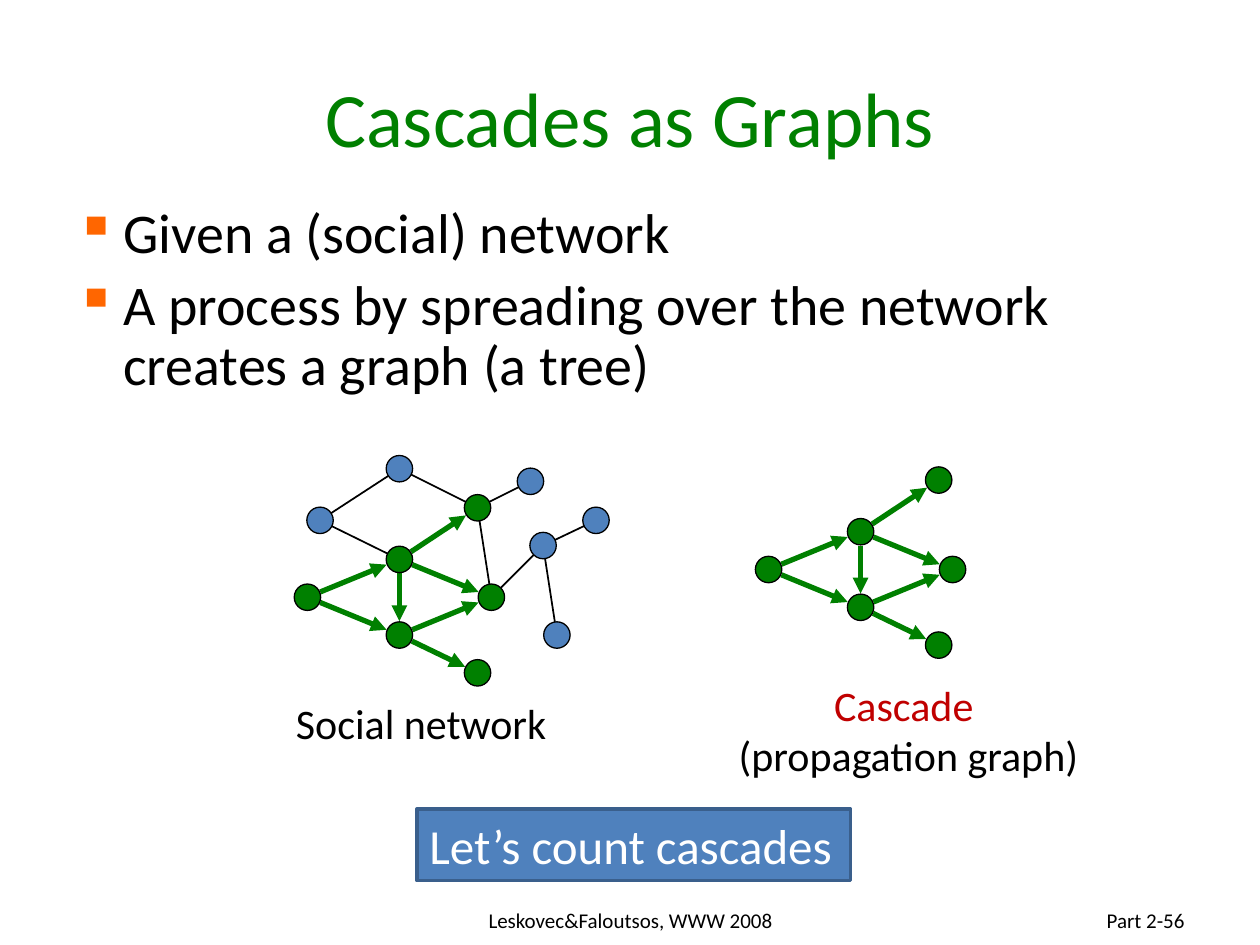
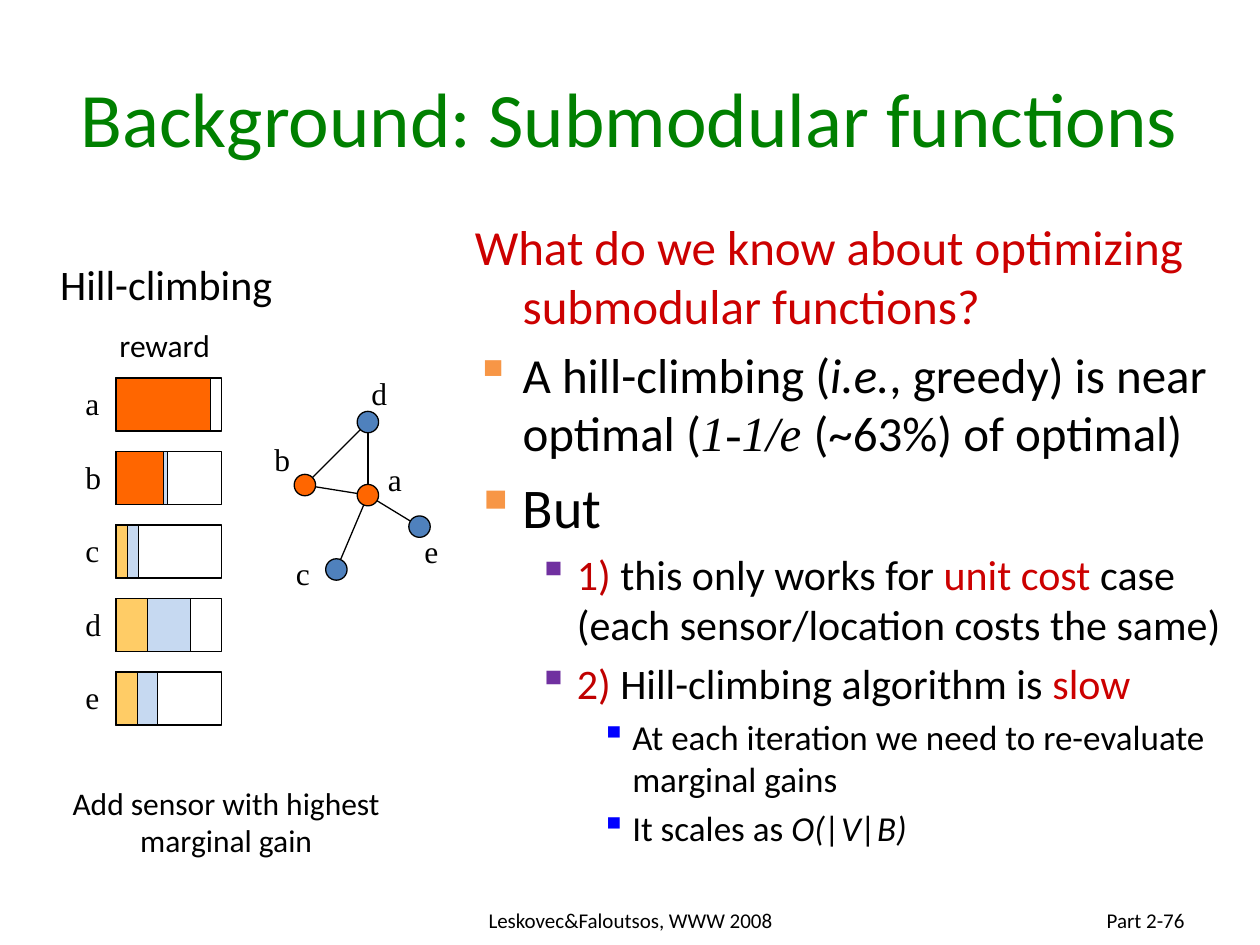
from dataclasses import dataclass
from math import hypot

from lxml.etree import SubElement
from pptx import Presentation
from pptx.dml.color import RGBColor
from pptx.enum.shapes import MSO_CONNECTOR as Connector
from pptx.enum.shapes import MSO_SHAPE as Preset
from pptx.enum.text import MSO_ANCHOR as Anchor
from pptx.enum.text import PP_ALIGN as Align
from pptx.oxml.ns import qn
from pptx.util import Inches, Pt

BLACK = RGBColor(0x00, 0x00, 0x00)
WHITE = RGBColor(0xFF, 0xFF, 0xFF)
GREEN = RGBColor(0x00, 0x80, 0x00)
BLUE = RGBColor(0x4F, 0x81, 0xBD)
DARK_BLUE = RGBColor(0x3A, 0x5F, 0x8C)
PALE_BLUE = RGBColor(0xC6, 0xD9, 0xF1)
PURE_BLUE = RGBColor(0x00, 0x00, 0xFF)
PURPLE = RGBColor(0x70, 0x30, 0xA0)
ORANGE = RGBColor(0xFF, 0x66, 0x00)
SOFT_ORANGE = RGBColor(0xF7, 0x96, 0x46)
YELLOW = RGBColor(0xFF, 0xCC, 0x66)
RED = RGBColor(0xCC, 0x00, 0x00)
DARK_RED = RGBColor(0xC0, 0x00, 0x00)

SANS = "Calibri"
SERIF = "Times New Roman"


@dataclass
class Run:
    text: str
    color: RGBColor = BLACK
    font: str = SANS
    italic: bool = False


@dataclass
class Item:
    """A body paragraph; its level sets the indent."""
    runs: list
    size: int
    bullet: RGBColor = None
    level: int = 0


class Deck:
    # Left margin and hanging indent for each body level
    INDENTS = [(0.38, 0.38), (0.81, 0.31), (1.25, 0.25)]

    def __init__(self):
        self.presentation = Presentation()
        self.presentation.slide_width = Inches(10)
        self.presentation.slide_height = Inches(7.5)
        self.slide = None

    def add_slide(self, title, page, title_left=0.5, title_width=9):
        layout = self.presentation.slide_layouts[6]
        self.slide = self.presentation.slides.add_slide(layout)
        self.text((title_left, 0.3, title_width, 1.25), [Run(title, GREEN)], 44,
                  Align.CENTER, Anchor.MIDDLE, wrap=True)
        self.text((3.42, 7.1, 3.17, 0.4), [Run("Leskovec&Faloutsos, WWW 2008")], 12,
                  Align.CENTER, Anchor.MIDDLE, wrap=True)
        self.text((7.17, 7.1, 2.33, 0.4), [Run(f"Part {page}")], 12,
                  Align.RIGHT, Anchor.MIDDLE, wrap=True)

    def add_runs(self, paragraph, runs, size):
        for item in runs:
            run = paragraph.add_run()
            run.text = item.text
            run.font.size = Pt(size)
            run.font.name = item.font
            run.font.italic = item.italic
            run.font.color.rgb = item.color

    def text(self, box, runs, size, align=Align.LEFT, anchor=Anchor.TOP, wrap=False):
        frame = self.slide.shapes.add_textbox(*map(Inches, box)).text_frame
        frame.word_wrap = wrap
        frame.vertical_anchor = anchor
        paragraph = frame.paragraphs[0]
        paragraph.alignment = align
        self.add_runs(paragraph, runs, size)
        return frame

    def body(self, box, items, line_spacing=1.0):
        frame = self.slide.shapes.add_textbox(*map(Inches, box)).text_frame
        frame.word_wrap = True
        for index, item in enumerate(items):
            paragraph = frame.add_paragraph() if index else frame.paragraphs[0]
            margin, hanging = self.INDENTS[item.level]
            properties = paragraph._p.get_or_add_pPr()
            properties.set("marL", str(Inches(margin)))
            properties.set("indent", str(-Inches(hanging)))
            if item.bullet is not None:
                color = SubElement(properties, qn("a:buClr"))
                SubElement(color, qn("a:srgbClr"), val=str(item.bullet))
                SubElement(properties, qn("a:buChar"), char="▪")
            paragraph.level = item.level
            paragraph.line_spacing = line_spacing
            if index:
                paragraph.space_before = Pt(0.2 * item.size)
            self.add_runs(paragraph, item.runs, item.size)

    def shape(self, preset, box, fill=None, line=BLACK, width=0.75):
        shape = self.slide.shapes.add_shape(preset, *map(Inches, box))
        shape.shadow.inherit = False
        if fill is None:
            shape.fill.background()
        else:
            shape.fill.solid()
            shape.fill.fore_color.rgb = fill
        shape.line.color.rgb = line
        shape.line.width = Pt(width)
        return shape

    def node(self, center, diameter, fill):
        x, y = center
        radius = diameter / 2
        self.shape(Preset.OVAL, (x - radius, y - radius, diameter, diameter), fill)

    def line(self, start, end, color=BLACK, width=1.0, arrow=False):
        connector = self.slide.shapes.add_connector(
            Connector.STRAIGHT, *map(Inches, (*start, *end)))
        connector.line.color.rgb = color
        connector.line.width = Pt(width)
        if arrow:
            SubElement(connector.line._get_or_add_ln(), qn("a:tailEnd"), type="triangle")
        SubElement(connector._element.spPr, qn("a:effectLst"))

    def arrow(self, start, end, gap):
        """Green arrow that stops short of both node centers."""
        (x1, y1), (x2, y2) = start, end
        length = hypot(x2 - x1, y2 - y1)
        dx, dy = gap * (x2 - x1) / length, gap * (y2 - y1) / length
        self.line((x1 + dx, y1 + dy), (x2 - dx, y2 - dy), GREEN, 3, arrow=True)


NODE = 0.21
CASCADE_NODES = {"start": (2.44, 4.74), "hub": (3.17, 4.44), "middle": (3.17, 5.04),
                 "right": (3.9, 4.74), "low": (3.79, 5.34), "top": (3.79, 4.03)}
CASCADE_ARROWS = [("start", "hub"), ("start", "middle"), ("hub", "top"),
                  ("hub", "right"), ("hub", "middle"), ("middle", "right"),
                  ("middle", "low")]


def draw_cascade(deck, dx=0.0, dy=0.0):
    nodes = {name: (x + dx, y + dy) for name, (x, y) in CASCADE_NODES.items()}
    for start, end in CASCADE_ARROWS:
        deck.arrow(nodes[start], nodes[end], 0.11)
    for center in nodes.values():
        deck.node(center, NODE, GREEN)


def cascades_slide(deck):
    deck.add_slide("Cascades as Graphs", "2-56")
    deck.body((0.5, 1.58, 9, 1.8), [
        Item([Run("Given a (social) network")], 32, ORANGE),
        Item([Run("A process by spreading over the network creates a graph (a tree)")],
             32, ORANGE),
    ], line_spacing=0.9)

    # Social network around the cascade
    others = {"west": (2.54, 4.13), "north": (3.17, 3.72), "northeast": (4.21, 3.82),
              "east": (4.31, 4.33), "far east": (4.73, 4.13), "southeast": (4.42, 5.04)}
    nodes = {**CASCADE_NODES, **others}
    edges = [("west", "hub"), ("west", "north"), ("north", "top"), ("top", "northeast"),
             ("top", "right"), ("east", "right"), ("east", "far east"),
             ("east", "southeast")]
    for start, end in edges:
        deck.line(nodes[start], nodes[end])
    for center in others.values():
        deck.node(center, NODE, BLUE)
    draw_cascade(deck)
    deck.text((2.25, 5.49, 2.21, 0.51), [Run("Social network")], 24)

    # The cascade alone
    draw_cascade(deck, 3.66, -0.22)
    frame = deck.text((5.75, 5.34, 2.92, 0.91), [Run("Cascade ", DARK_RED)], 24,
                      Align.CENTER)
    paragraph = frame.add_paragraph()
    paragraph.alignment = Align.CENTER
    deck.add_runs(paragraph, [Run("(propagation graph)")], 24)

    # Call to action
    banner = deck.shape(Preset.RECTANGLE, (3.31, 6.42, 3.44, 0.57), BLUE, DARK_BLUE, 2)
    frame = banner.text_frame
    frame.word_wrap = False
    frame.vertical_anchor = Anchor.TOP
    frame.paragraphs[0].alignment = Align.LEFT
    deck.add_runs(frame.paragraphs[0], [Run("Let’s count cascades", WHITE)], 28)


def submodular_slide(deck):
    deck.add_slide("Background: Submodular functions", "2-76", 0, 10)
    deck.body((3.67, 1.67, 6.17, 5.3), [
        Item([Run("What do we know about optimizing submodular functions?", RED)], 28),
        Item([Run("A hill-climbing ("), Run("i.e.", italic=True),
              Run(", greedy) is near optimal ("),
              Run("1-1/e ", font=SERIF, italic=True),
              Run("(~63%) of optimal)")], 28, SOFT_ORANGE),
        Item([Run("But")], 32, SOFT_ORANGE),
        Item([Run("1)", DARK_RED), Run(" this only works for "), Run("unit cost", RED),
              Run(" case (each sensor/location costs the same)")], 24, PURPLE, 1),
        Item([Run("2)", DARK_RED), Run(" Hill-climbing algorithm is "),
              Run("slow", RED)], 24, PURPLE, 1),
        Item([Run("At each iteration we need to re-evaluate marginal gains")],
             20, PURE_BLUE, 2),
        Item([Run("It scales as "), Run("O(|V|B)", italic=True)], 20, PURE_BLUE, 2),
    ])

    # Reward bars: widest layer first, the narrower ones cover it
    deck.text((0.38, 2, 1.9, 0.51), [Run("Hill-climbing")], 24)
    deck.text((0.85, 2.54, 0.97, 0.4), [Run("reward")], 18)
    rewards = {
        "a": [(0.75, ORANGE)],
        "b": [(0.41, PALE_BLUE), (0.38, ORANGE)],
        "c": [(0.18, PALE_BLUE), (0.09, YELLOW)],
        "d": [(0.59, PALE_BLUE), (0.25, YELLOW)],
        "e": [(0.33, PALE_BLUE), (0.17, YELLOW)],
    }
    for row, (name, layers) in enumerate(rewards.items()):
        top = 3 + row * 7 / 12
        for width, fill in [(0.84, None), *layers]:
            deck.shape(Preset.RECTANGLE, (0.92, top, width, 0.42), fill)
        deck.text((0.58, top, 0.33, 0.4), [Run(name, font=SERIF)], 18)
    deck.text((0.17, 6.17, 3.25, 0.71), [Run("Add sensor with highest marginal gain")],
              18, Align.CENTER, wrap=True)

    # Sensor graph: center, fill and label corner of each node
    sensors = {
        "a": ((2.92, 3.93), ORANGE, (2.98, 3.6)),
        "b": ((2.42, 3.85), ORANGE, (2.08, 3.44)),
        "c": ((2.67, 4.52), BLUE, (2.25, 4.35)),
        "d": ((2.92, 3.35), BLUE, (2.85, 2.92)),
        "e": ((3.33, 4.18), BLUE, (3.27, 4.17)),
    }
    for start, end in ("db", "ac", "da", "ea", "ab"):
        deck.line(sensors[start][0], sensors[end][0], width=0.75)
    for name, (center, fill, corner) in sensors.items():
        deck.node(center, 0.17, fill)
        deck.text((*corner, 0.33, 0.4), [Run(name, font=SERIF)], 18)


def main():
    deck = Deck()
    cascades_slide(deck)
    submodular_slide(deck)
    deck.presentation.save("out.pptx")


if __name__ == "__main__":
    main()
